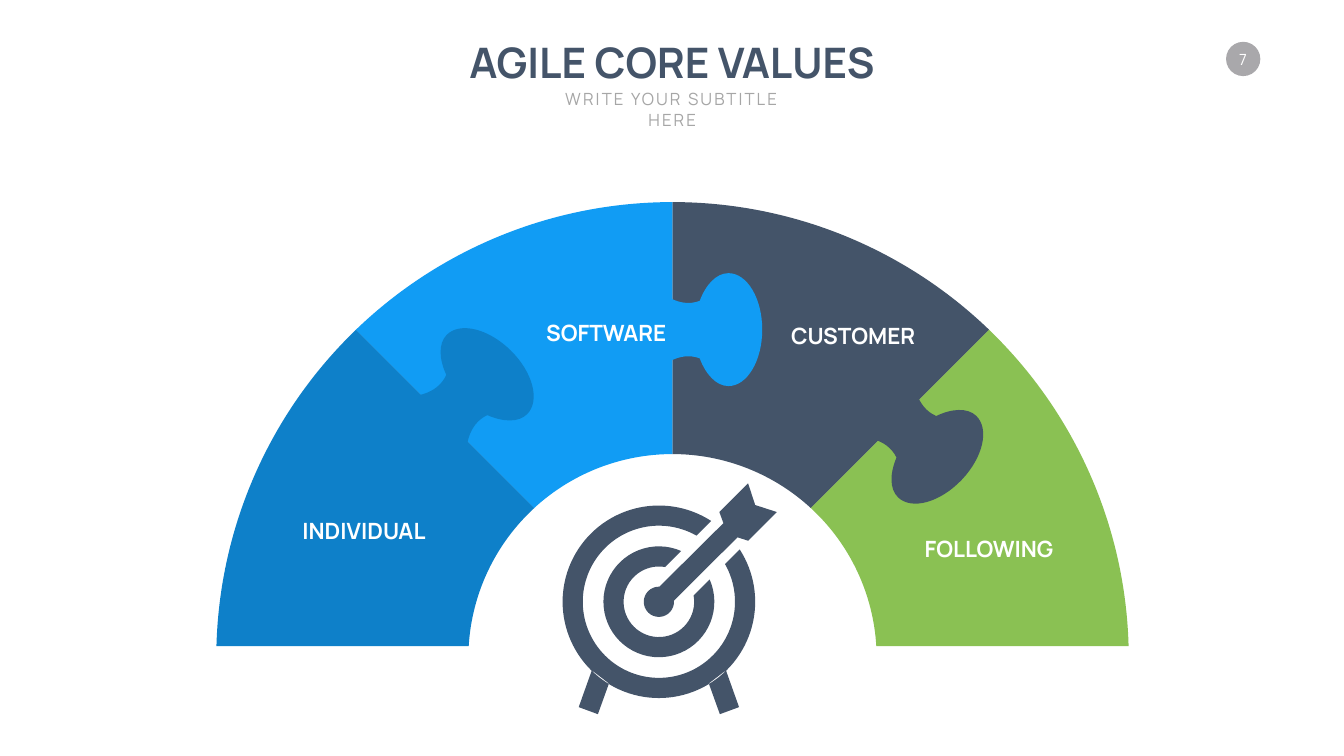
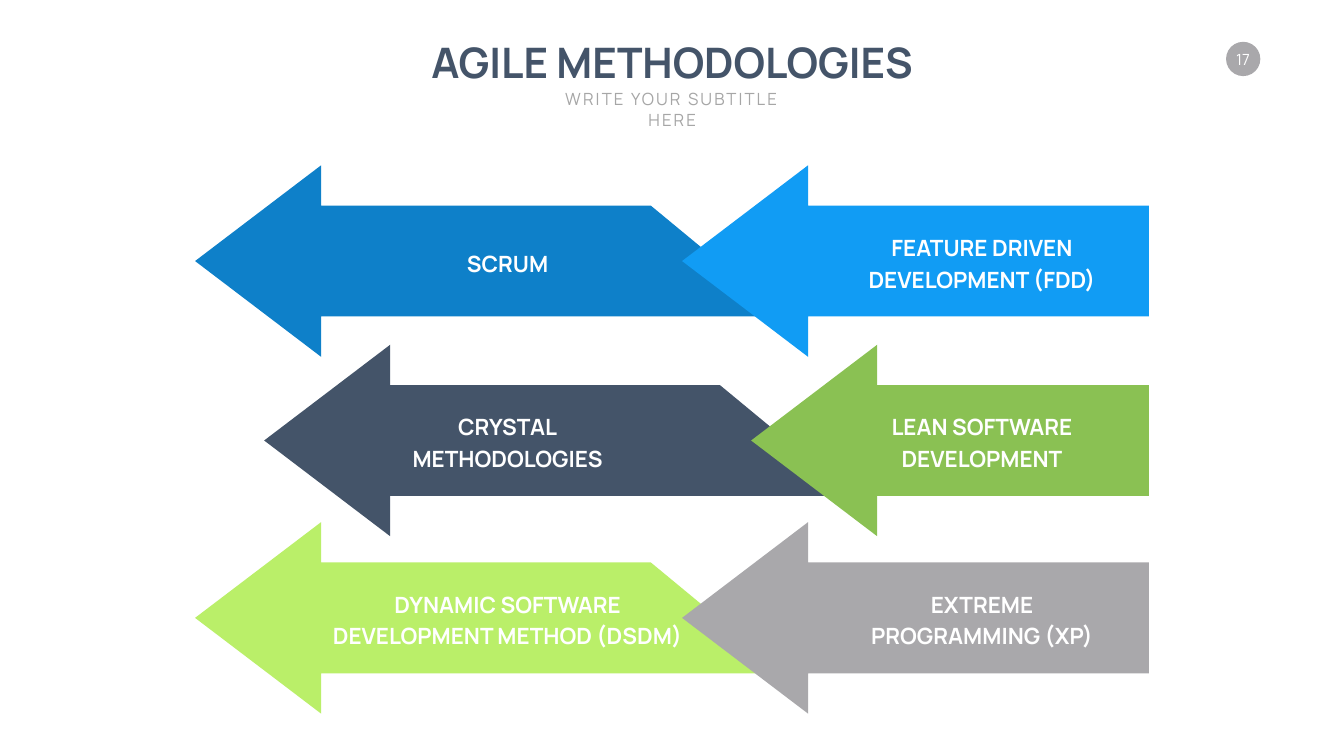
from math import asin, ceil, cos, degrees, radians, sin, tan

from lxml.etree import SubElement
from pptx import Presentation
from pptx.dml.color import RGBColor
from pptx.enum.shapes import MSO_SHAPE
from pptx.enum.text import MSO_ANCHOR, MSO_AUTO_SIZE, PP_ALIGN
from pptx.oxml.ns import qn
from pptx.util import Inches, Pt

WIDTH, HEIGHT = 26.66, 15
FONT = "Manrope"
COLORS = {
    "navy": "445469", "blue": "0E80C9", "sky": "119CF4", "green": "8AC153",
    "lime": "BAEF69", "grey": "A9A8AB", "subtitle": "A6A6A6", "white": "FFFFFF",
}
SUBTITLE = "WRITE YOUR SUBTITLE HERE"

# Arch: each edge is an angle in degrees and the offset of the cut from that ray
ARCH_CENTER, ARCH_OUTER, ARCH_INNER = (13.34, 13.06), 9.05, 4.05
EDGES = [(180, -0.24), (135, -0.17), (90, 0), (45, 0.17), (0, 0.24)]
PIECES = [  # color, first edge
    ("blue", 0), ("green", 3), ("navy", 2), ("sky", 1),
]
KNOBS = [  # color, head center, turn in degrees
    ("sky", (14.45, 6.54), 0),
    ("navy", (18.59, 9.06), 43.7),
    ("blue", (9.66, 7.43), -45.5),
]
KNOB_HALF = [  # upper half, from the tip of the head to the base
    [(0.67, 0), (0.67, -0.62), (0.37, -1.12), (0, -1.12)],
    [(0, -1.12), (-0.24, -1.12), (-0.45, -0.89), (-0.57, -0.57)],
    [(-0.57, -0.57), (-1, -0.41), (-1.36, -0.77), (-1.36, -0.77)],
    [(-1.54, -0.05)],
]
VALUES = [  # label, left, top, width
    ("INDIVIDUAL", 5.11, 10.13, 4.22),
    ("SOFTWARE", 9.87, 6.19, 4.31),
    ("CUSTOMER", 14.76, 6.25, 4.33),
    ("FOLLOWING", 17.42, 10.49, 4.4),
]

# Target, measured from its center
TARGET = (13.07, 11.94)
RINGS = [(1.91, 1.51), (1.1, 0.7)]
RING_GAP = [(45, 0.4), (405, -0.4)]
DART = [(1.28, -1.56), (1.2, -1.78), (1.77, -2.35), (1.91, -1.92),
        (2.34, -1.78), (1.77, -1.21), (1.56, -1.28)]
LEG = [(0.99, 1.62), (1.21, 2.23), (1.59, 2.09), (1.33, 1.36)]

ARROW_HALF, SHAFT_HALF, HEAD = 1.9, 1.1, 2.5
RIGHT_START, RIGHT_END = 9.66, 22.79
TAIL_TOP, TAIL_BOTTOM = 9.04, 11.7
TEXT_CENTERS = (10.07, 19.48)
METHODS = [  # left, center line, then color, label lines and label width per arrow
    (3.87, 5.18, [("blue", ["SCRUM"], 1.84),
                  ("sky", ["FEATURE DRIVEN", "DEVELOPMENT (FDD)"], 4.86)]),
    (5.24, 8.74, [("navy", ["CRYSTAL", "METHODOLOGIES"], 4.04),
                  ("green", ["LEAN SOFTWARE", "DEVELOPMENT"], 3.9)]),
    (3.87, 12.26, [("lime", ["DYNAMIC SOFTWARE", "DEVELOPMENT METHOD (DSDM)"], 7.32),
                   ("grey", ["EXTREME", "PROGRAMMING (XP)"], 4.85)]),
]


def rgb(name):
    return RGBColor.from_string(COLORS[name])


def paint(sp, color):
    sp.shadow.inherit = False
    sp.fill.solid()
    sp.fill.fore_color.rgb = rgb(color)
    sp.line.fill.background()


def add_outline(shapes, color, *contours):
    """Fill one freeform; a contour lists corners [p] and Bezier curves [p, c1, c2, q]."""
    builder, sizes = None, []
    for contour in contours:
        points, last = [], None
        for start, *curve in contour:
            if start != last:
                points.append(start)
                sizes.append(1 if last else 0)
            if curve:
                points += curve
                sizes.append(3)
            last = curve[-1] if curve else start
        first, *rest = [(Inches(x), Inches(y)) for x, y in points]
        if builder:
            builder.move_to(*first)
        else:
            builder = shapes.build_freeform(*first)
        builder.add_line_segments(rest, close=True)
    sp = builder.convert_to_shape()
    steps = iter(sp._element.findall(".//" + qn("a:lnTo")))
    for size in sizes:
        group = [next(steps) for _ in range(size)]
        if size == 3:
            bend = SubElement(group[0].getparent(), qn("a:cubicBezTo"))
            group[0].addprevious(bend)
            for step in group:
                bend.append(step[0])
                step.getparent().remove(step)
    paint(sp, color)


def add_text(slide, lines, box, size, color, bold=False, wrap=True,
             anchor=MSO_ANCHOR.TOP, leading=None, margin=None, spacing=None):
    tf = slide.shapes.add_textbox(*map(Inches, box)).text_frame
    tf.word_wrap = wrap
    tf.auto_size = MSO_AUTO_SIZE.SHAPE_TO_FIT_TEXT
    tf.vertical_anchor = anchor
    if margin is not None:
        tf.margin_left = tf.margin_right = tf.margin_top = tf.margin_bottom = margin
    for i, line in enumerate(lines):
        p = tf.add_paragraph() if i else tf.paragraphs[0]
        r = p.add_run()
        r.text = line
        if spacing:
            r._r.get_or_add_rPr().set("spc", str(spacing))
        p.alignment = PP_ALIGN.CENTER
        if leading:
            p.line_spacing = Pt(leading)
        p.font.name, p.font.size, p.font.bold = FONT, Pt(size), bold
        p.font.color.rgb = rgb(color)


def add_label(slide, lines, box, wrap):
    add_text(slide, lines, box, 32, "white", bold=True, wrap=wrap,
             anchor=MSO_ANCHOR.MIDDLE, leading=45)


def new_slide(prs, number):
    slide = prs.slides.add_slide(prs.slide_layouts[6])
    badge = slide.shapes.add_shape(MSO_SHAPE.OVAL, *map(Inches, (24.32, 0.83, 0.68, 0.68)))
    paint(badge, "grey")
    add_text(slide, [number], (24.43, 0.99, 0.45, 0.37), 22, "white",
             wrap=False, anchor=MSO_ANCHOR.MIDDLE, margin=0)
    return slide


def add_heading(slide, title, width):
    add_text(slide, [title], ((WIDTH - width) / 2, 0.67, width, 1.11), 60, "navy",
             bold=True, wrap=False)
    add_text(slide, [SUBTITLE], (10.62, 1.72, 5.43, 0.5), 24, "subtitle", spacing=300)


def corners(points):
    return [[pt] for pt in points]


def arc(center, radius, start, end):
    """Bezier curves of at most 50 degrees; angles run counterclockwise."""
    count = ceil(abs(end - start) / 50)
    step = radians(end - start) / count
    reach = 4 / 3 * tan(step / 4)

    def at(angle, pull=0):
        return (center[0] + radius * (cos(angle) - pull * sin(angle)),
                center[1] - radius * (sin(angle) + pull * cos(angle)))

    angles = [radians(start) + i * step for i in range(count + 1)]
    return [[at(a), at(a, reach), at(b, -reach), at(b)] for a, b in zip(angles, angles[1:])]


def band(center, outer, inner, first, last):
    """Ring sector whose two cuts run parallel to the rays of its edges."""
    def span(radius):
        return [a + degrees(asin(off / radius)) for a, off in (first, last)]
    return arc(center, outer, *span(outer)) + arc(center, inner, *span(inner)[::-1])


def knob(center, turn):
    lower = [[(x, -y) for x, y in part[::-1]] for part in KNOB_HALF[::-1]]
    c, s = cos(radians(turn)), sin(radians(turn))
    return [[(center[0] + x * c - y * s, center[1] + x * s + y * c) for x, y in part]
            for part in KNOB_HALF + lower]


def from_target(points, side=1):
    return corners([(TARGET[0] + side * x, TARGET[1] + y) for x, y in points])


def values_slide(prs):
    slide = new_slide(prs, "7")
    arch = slide.shapes.add_group_shape().shapes
    for color, i in PIECES:
        add_outline(arch, color, band(ARCH_CENTER, ARCH_OUTER, ARCH_INNER, *EDGES[i:i + 2]))
    for color, center, turn in KNOBS:
        add_outline(arch, color, knob(center, turn))
    dart = from_target(DART) + arc(TARGET, 0.3, 4, -272)
    add_outline(arch, "navy", *[band(TARGET, *radii, *RING_GAP) for radii in RINGS],
                dart, from_target(LEG), from_target(LEG, -1))
    add_heading(slide, "AGILE CORE VALUES", 8.44)
    for label, left, top, width in VALUES:
        add_label(slide, [label], (left, top, width, 0.71), True)


def arrow(left, mid, is_right):
    top, bottom = mid - SHAFT_HALF, mid + SHAFT_HALF
    neck = left + HEAD
    head = [(neck, top), (neck, mid - ARROW_HALF), (left, mid),
            (neck, mid + ARROW_HALF), (neck, bottom)]
    if is_right:
        return corners(head + [(RIGHT_END, bottom), (RIGHT_END, top)])
    return corners(head + [(left + TAIL_BOTTOM, bottom), (left + TAIL_TOP, top)])


def methods_slide(prs):
    slide = new_slide(prs, "17")
    for left, mid, arrows in METHODS:
        for i, (color, _, _) in enumerate(arrows):
            add_outline(slide.shapes, color, arrow(left + i * RIGHT_START, mid, i == 1))
    add_heading(slide, "AGILE METHODOLOGIES", 9.95)
    for _, mid, arrows in METHODS:
        for center, (_, lines, width) in zip(TEXT_CENTERS, arrows):
            height = 0.08 + 0.63 * len(lines)
            add_label(slide, lines, (center - width / 2, mid - height / 2, width, height), False)


def main():
    prs = Presentation()
    prs.slide_width, prs.slide_height = Inches(WIDTH), Inches(HEIGHT)
    values_slide(prs)
    methods_slide(prs)
    prs.save("out.pptx")


if __name__ == "__main__":
    main()
